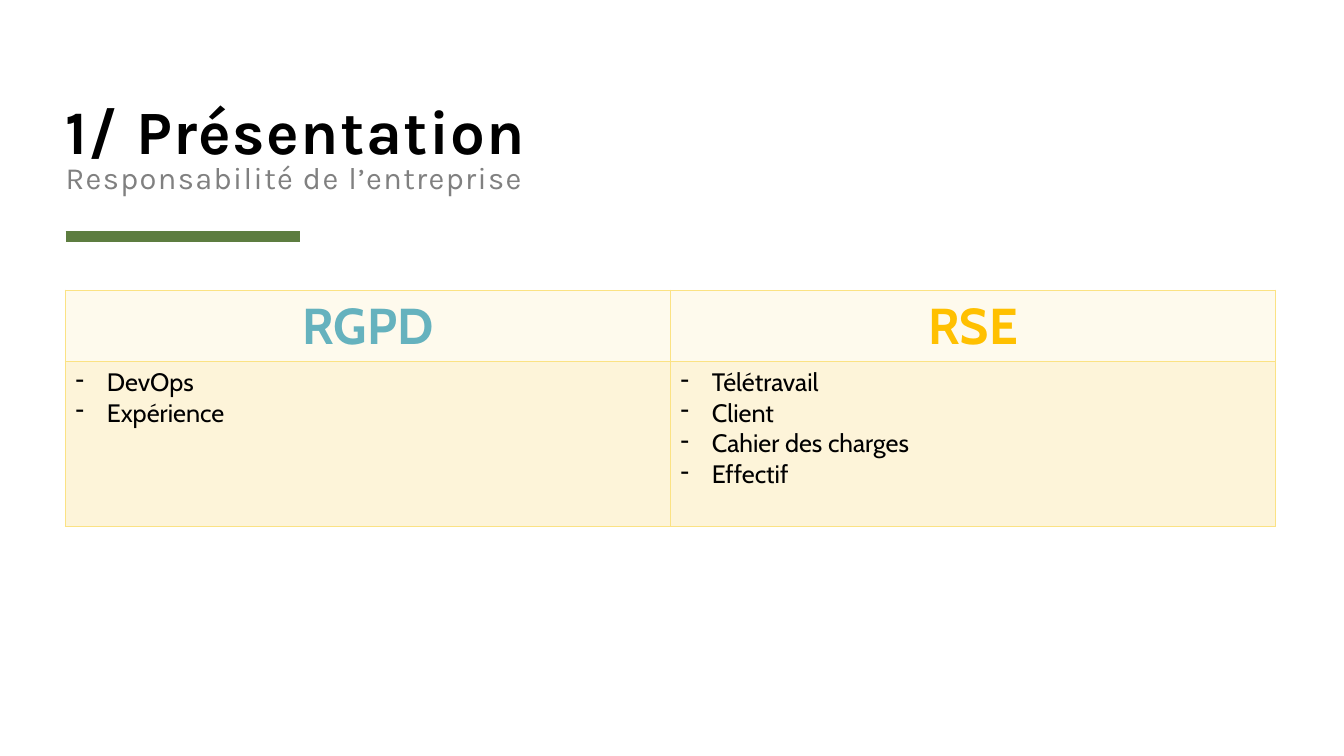
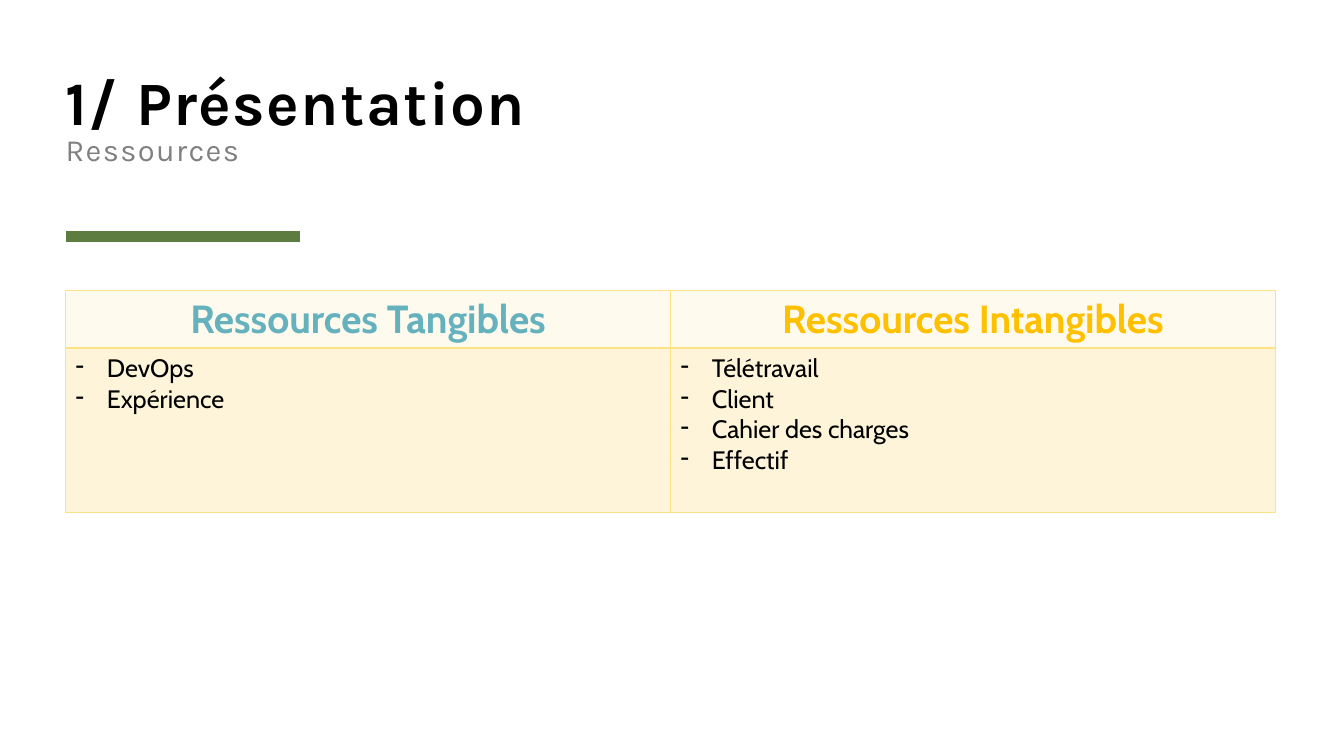
from lxml import etree
from pptx import Presentation
from pptx.dml.color import RGBColor
from pptx.enum.shapes import MSO_CONNECTOR
from pptx.enum.text import MSO_ANCHOR, MSO_AUTO_SIZE, PP_ALIGN
from pptx.oxml.ns import qn
from pptx.util import Inches, Pt

LINE = MSO_CONNECTOR.STRAIGHT
BOTTOM = MSO_ANCHOR.BOTTOM
FIXED = MSO_AUTO_SIZE.NONE
LEFT, CENTER = PP_ALIGN.LEFT, PP_ALIGN.CENTER

COLORS = {
    "black": "000000", "gray": "808080", "green": "5D7D40",
    "teal": "65B2BE", "gold": "FFC000", "edge": "FBE284",
    "head": "FEFAED", "body": "FDF4D9",
}
TITLE = {"name": "Karla", "size": Pt(44), "bold": True}
SUB = {"name": "Karla", "size": Pt(22), "bold": False}
HEAD = {"name": "Cabin", "bold": True}
BODY = {"name": "Cabin", "size": Pt(18), "bold": False}
MARGIN, WIDTH = 0.65, 12
LISTS = (
    ("DevOps", "Expérience"),
    ("Télétravail", "Client", "Cahier des charges", "Effectif"),
)
SLIDES = (
    {"sub": "Responsabilité de l’entreprise", "top": 0.22, "pad": 0,
     "heads": ("RGPD", "RSE"), "size": 36, "row": 0.71},
    {"sub": "Ressources", "top": 0.67, "pad": 0.73,
     "heads": ("Ressources Tangibles", "Ressources Intangibles"),
     "size": 28, "row": 0.57},
)


def color(key):
    return RGBColor.from_string(COLORS[key])


def style(font, form, tint):
    for key, value in form.items():
        setattr(font, key, value)
    font.color.rgb = color(tint)


def add_run(para, text, form, tint):
    run = para.add_run()
    run.text = text
    style(run.font, form, tint)
    return run


def add_title(slide, sub, top, pad):
    title = slide.shapes.title
    box = {"left": MARGIN, "top": top, "width": WIDTH, "height": 1.72}
    for key, value in box.items():
        setattr(title, key, Inches(value))
    frame = title.text_frame
    form = {"margin_left": 0, "margin_top": 0, "margin_right": 0,
            "margin_bottom": Inches(pad), "vertical_anchor": BOTTOM,
            "word_wrap": True, "auto_size": FIXED}
    for key, value in form.items():
        setattr(frame, key, value)
    para = frame.paragraphs[0]
    para.alignment = LEFT
    para.line_spacing = 0.8
    runs = [add_run(para, "1/ Présentation", TITLE, "black")]
    para.add_line_break()
    runs.append(add_run(para, sub, SUB, "gray"))
    for run in runs:
        run.font._element.set("spc", "100")


def add_rule(slide):
    y = Inches(2.35)
    rule = slide.shapes.add_connector(LINE, Inches(MARGIN), y, Inches(2.98), y)
    rule.line.width = Pt(8)
    rule.line.color.rgb = color("green")
    etree.SubElement(rule._element.spPr, qn("a:effectLst"))


def paint(cell, tint):
    props = cell._tc.get_or_add_tcPr()
    for side in ("lnL", "lnR", "lnT", "lnB"):
        edge = etree.SubElement(props, qn("a:" + side), w=str(Pt(1)))
        fill = etree.SubElement(edge, qn("a:solidFill"))
        etree.SubElement(fill, qn("a:srgbClr"), val=COLORS["edge"])
    cell.fill.solid()
    cell.fill.fore_color.rgb = color(tint)


def add_list(cell, items):
    frame = cell.text_frame
    for index, item in enumerate(items):
        para = frame.add_paragraph() if index else frame.paragraphs[0]
        props = para._p.get_or_add_pPr()
        props.set("marL", str(Inches(0.31)))
        props.set("indent", str(-Inches(0.31)))
        etree.SubElement(props, qn("a:buChar"), char="-")
        add_run(para, item, BODY, "black")


def add_grid(slide, heads, size, row):
    rows = (row, 1.63)
    grid = slide.shapes.add_table(
        2, 2, Inches(MARGIN), Inches(2.88), Inches(WIDTH), Inches(sum(rows))
    ).table
    grid.first_row = grid.horz_banding = False
    for index, height in enumerate(rows):
        grid.rows[index].height = Inches(height)
    for col, (head, tint, items) in enumerate(
        zip(heads, ("teal", "gold"), LISTS)
    ):
        top, low = grid.cell(0, col), grid.cell(1, col)
        paint(top, "head")
        paint(low, "body")
        para = top.text_frame.paragraphs[0]
        para.alignment = CENTER
        add_run(para, head, {**HEAD, "size": Pt(size)}, tint)
        add_list(low, items)


def main():
    deck = Presentation()
    deck.slide_width, deck.slide_height = Inches(13.33), Inches(7.5)
    for data in SLIDES:
        slide = deck.slides.add_slide(deck.slide_layouts[5])
        add_rule(slide)
        add_title(slide, data["sub"], data["top"], data["pad"])
        add_grid(slide, data["heads"], data["size"], data["row"])
    deck.save("out.pptx")


if __name__ == "__main__":
    main()
